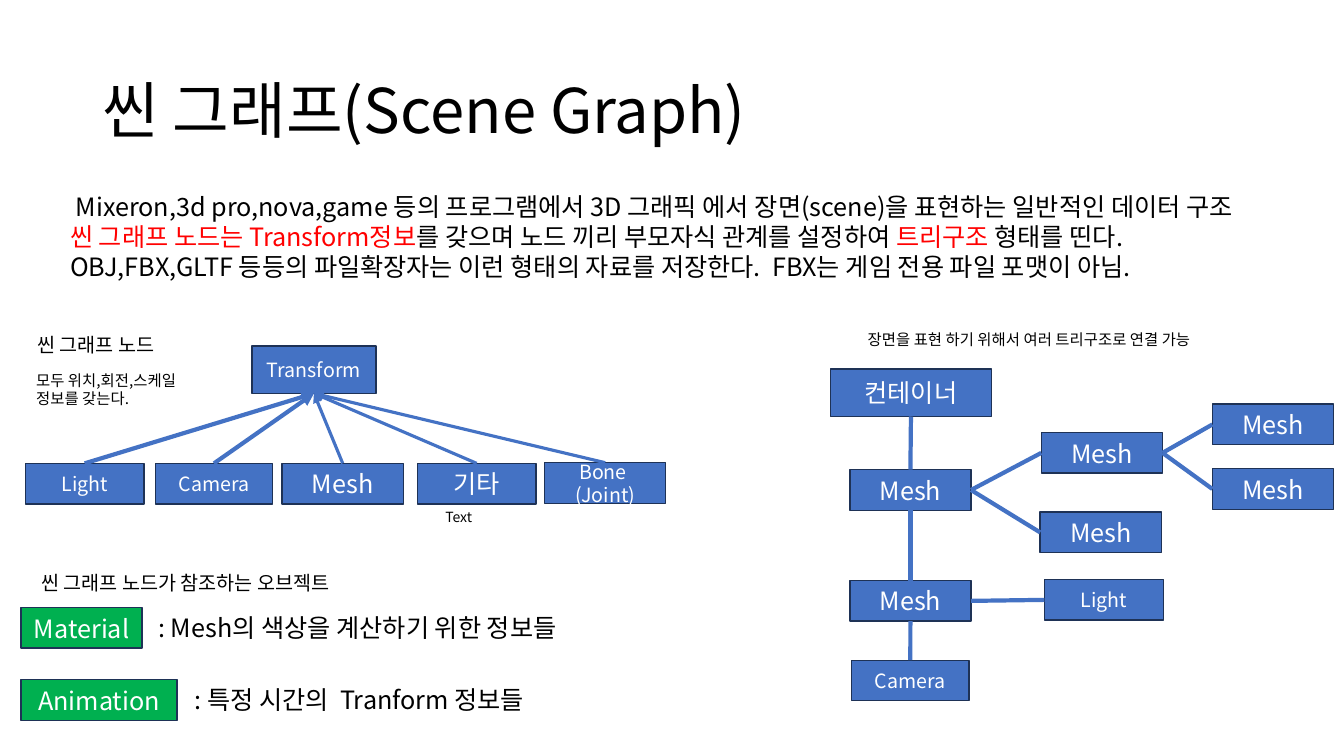
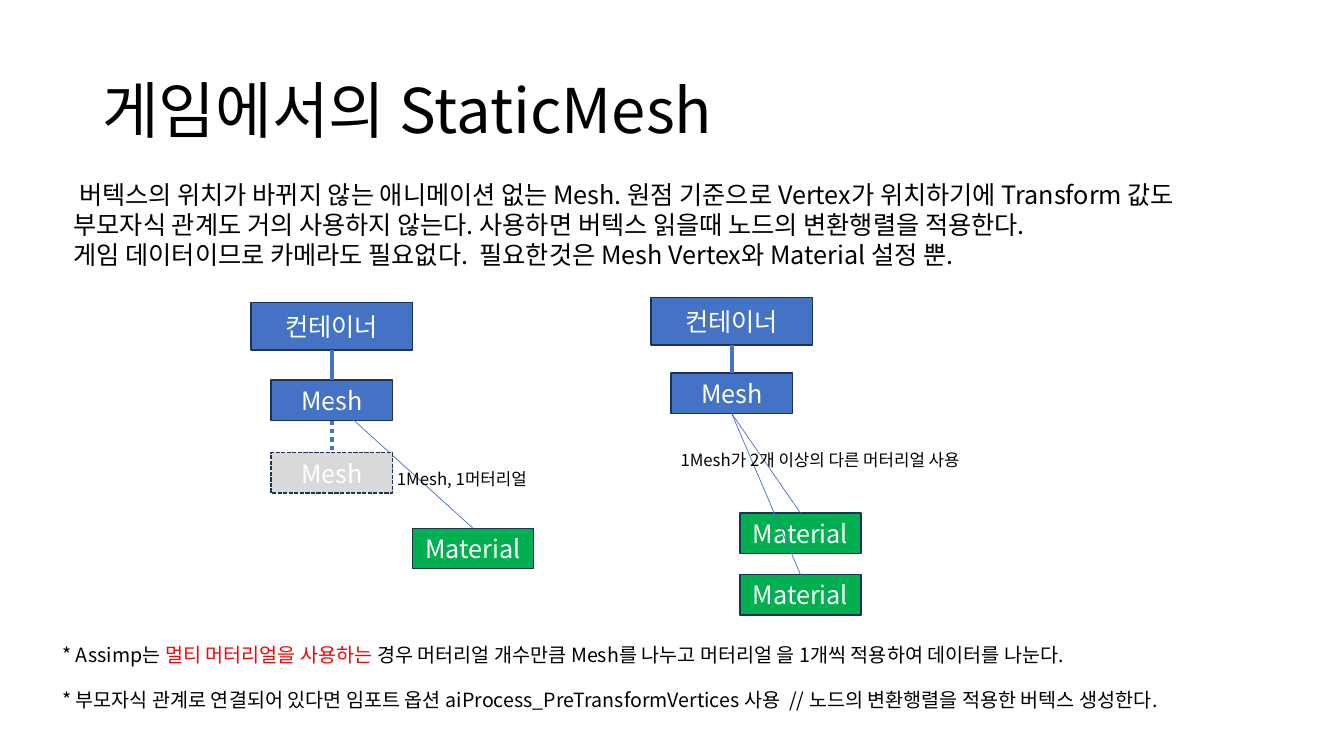
from lxml import etree
from pptx import Presentation
from pptx.dml.color import RGBColor
from pptx.enum.dml import MSO_LINE
from pptx.enum.shapes import MSO_CONNECTOR, MSO_SHAPE
from pptx.enum.text import MSO_ANCHOR, MSO_AUTO_SIZE, PP_ALIGN
from pptx.oxml.ns import qn
from pptx.util import Pt

RECTANGLE, STRAIGHT = MSO_SHAPE.RECTANGLE, MSO_CONNECTOR.STRAIGHT
MIDDLE, CENTER, LEFT_ALIGN = MSO_ANCHOR.MIDDLE, PP_ALIGN.CENTER, PP_ALIGN.LEFT
GROW, FIXED = MSO_AUTO_SIZE.SHAPE_TO_FIT_TEXT, MSO_AUTO_SIZE.NONE
SHORT_DASH, DOTS = MSO_LINE.SQUARE_DOT, MSO_LINE.ROUND_DOT
DASH_NODE = SHORT_DASH
TOP, LEFT, BOTTOM, RIGHT = range(4)

# Shared look
FONT = "Noto Sans CJK KR"
BLACK, WHITE, RED = "000000", "FFFFFF", "FF0000"
BLUE, GREEN, GREY, OUTLINE = "4472C4", "00B050", "D9D9D9", "1E3256"
THICK, MEDIUM, THIN = 3, 2.25, 0.5

# Node kinds: width, height, text size, fill
NODES = {
    "Transform": (88.5, 34, 14, BLUE),
    "컨테이너": (115.4, 34, 18, BLUE),
    "Mesh": (86.6, 29, 18, BLUE),
    "Light": (85, 29, 14, BLUE),
    "Camera": (83.7, 29, 14, BLUE),
    "기타": (85, 29, 18, BLUE),
    "Bone \n(Joint)": (86.6, 29, 14, BLUE),
    "Material": (86.6, 29, 18, GREEN),
    "Animation": (111.6, 29, 18, GREEN),
}


def colour(value):
    return RGBColor.from_string(value)


def apply(target, values):
    for name, value in values.items():
        setattr(target, name, value)


def write(shape, paragraphs, size, ink, align=LEFT_ALIGN, spacing=None, **frame_format):
    """Fill a shape; a paragraph is a string or a list of (text, colour)."""
    frame = shape.text_frame
    apply(frame, frame_format)
    for index, spans in enumerate(paragraphs):
        para = frame.paragraphs[0] if index == 0 else frame.add_paragraph()
        apply(para, {"alignment": align, "line_spacing": spacing})
        for text, span_ink in [(spans, ink)] if isinstance(spans, str) else spans:
            span = para.add_run()
            span.text = text
            apply(span.font, {"size": Pt(size), "name": FONT})
            span.font.color.rgb = colour(span_ink)
            etree.SubElement(span.font._element, qn("a:ea"), typeface=FONT)


def add_label(slide, paragraphs, left, top, width, height, size, wrap=True):
    box = slide.shapes.add_textbox(Pt(left), Pt(top), Pt(width), Pt(height))
    write(box, paragraphs, size, BLACK, word_wrap=wrap, auto_size=GROW)


def add_title(slide, text):
    box = slide.shapes.add_textbox(Pt(66), Pt(28.75), Pt(828), Pt(104.4))
    write(box, [text], 44, BLACK, spacing=0.9, word_wrap=True,
          auto_size=FIXED, vertical_anchor=MIDDLE)


def add_node(slide, label, left, top, fill=None, dash=None):
    width, height, size, kind_fill = NODES[label]
    node = slide.shapes.add_shape(RECTANGLE, Pt(left), Pt(top), Pt(width), Pt(height))
    node.shadow.inherit = False
    node.fill.solid()
    node.fill.fore_color.rgb = colour(fill or kind_fill)
    node.line.color.rgb = colour(OUTLINE)
    apply(node.line, {"width": Pt(1), "dash_style": dash})
    write(node, label.split("\n"), size, WHITE, CENTER,
          word_wrap=True, vertical_anchor=MIDDLE)
    return node


def add_link(slide, start, start_side, end, end_side, width=THICK, arrow=False, dash=None):
    """Join two nodes; with no start side the link leaves the node's centre."""
    link = slide.shapes.add_connector(
        STRAIGHT, start.left + start.width // 2, start.top + start.height // 2,
        end.left, end.top)
    if start_side is not None:
        link.begin_connect(start, start_side)
    link.end_connect(end, end_side)
    link.line.color.rgb = colour(BLUE)
    apply(link.line, {"width": Pt(width), "dash_style": dash})
    if arrow:
        etree.SubElement(link.line._get_or_add_ln(), qn("a:tailEnd"), type="triangle")
    etree.SubElement(link._element.spPr, qn("a:effectLst"))


def add_slide(deck, title):
    slide = deck.slides.add_slide(deck.slide_layouts[6])
    add_title(slide, title)
    return slide


def build_scene_graph(deck):
    slide = add_slide(deck, "씬 그래프(Scene Graph)")
    add_label(slide, [
        " Mixeron,3d pro,nova,game 등의 프로그램에서 3D 그래픽 에서 장면(scene)을 표현하는 일반적인 데이터 구조",
        [("씬 그래프 노드는 Transform정보", RED),
         ("를 갖으며 노드 끼리 부모자식 관계를 설정하여 ", BLACK),
         ("트리구조", RED), (" 형태를 띤다.", BLACK)],
        "OBJ,FBX,GLTF 등등의 파일확장자는 이런 형태의 자료를 저장한다.  FBX는 게임 전용 파일 포맷이 아님.",
    ], 43, 133, 917, 72.7, 18, wrap=False)

    # Node types that share Transform
    transform = add_node(slide, "Transform", 180, 247)
    for label, left, top, width in [
        ("Light", 18, 331, THICK), ("Camera", 111, 331, THICK),
        ("Mesh", 201.5, 331, MEDIUM), ("기타", 298, 331, MEDIUM),
        ("Bone \n(Joint)", 389, 330.5, MEDIUM),
    ]:
        child = add_node(slide, label, left, top)
        add_link(slide, child, TOP, transform, BOTTOM, width, arrow=True)
    add_label(slide, ["씬 그래프 노드"], 19.5, 234, 109.5, 24.5, 14, wrap=False)
    add_label(slide, ["모두 위치,회전,스케일 정보를 갖는다."], 18.7, 261.4, 135.4, 34, 11)
    add_label(slide, ["Text"], 311, 360, 34, 19.4, 10, wrap=False)

    # Referenced objects
    add_label(slide, ["씬 그래프 노드가 참조하는 오브젝트"], 22.3, 404.6, 246, 24.5, 14, wrap=False)
    for label, note, top, left, width in [
        ("Material", ": Mesh의 색상을 계산하기 위한 정보들", 434, 106, 448),
        ("Animation", ": 특정 시간의  Tranform 정보들", 485.5, 132, 407),
    ]:
        add_node(slide, label, 15, top)
        add_label(slide, [note], left, top, width, 29, 18)

    # Example scene tree
    add_label(slide, ["장면을 표현 하기 위해서 여러 트리구조로 연결 가능"], 612.7, 232.5, 279, 20.6, 11)
    container = add_node(slide, "컨테이너", 593, 263.5)
    upper = add_node(slide, "Mesh", 607, 335.5)
    lower = add_node(slide, "Mesh", 607, 414.7)
    camera = add_node(slide, "Camera", 608.4, 471.6)
    branch = add_node(slide, "Mesh", 743.8, 309)
    for start, end in [(container, upper), (upper, lower), (lower, camera)]:
        add_link(slide, start, BOTTOM, end, TOP)
    add_link(slide, upper, RIGHT, branch, LEFT)
    for parent, label, left, top in [
        (upper, "Mesh", 743, 365.8), (branch, "Mesh", 866, 288.7),
        (branch, "Mesh", 866, 334.8), (lower, "Light", 746, 414),
    ]:
        add_link(slide, parent, RIGHT, add_node(slide, label, left, top), LEFT)


def add_container_with_mesh(slide, left, top, mesh_top):
    container = add_node(slide, "컨테이너", left, top)
    mesh = add_node(slide, "Mesh", left + 14.4, mesh_top)
    add_link(slide, container, BOTTOM, mesh, TOP)
    return mesh


def build_static_mesh(deck):
    slide = add_slide(deck, "게임에서의 StaticMesh")
    add_label(slide, [
        " 버텍스의 위치가 바뀌지 않는 애니메이션 없는 Mesh. 원점 기준으로 Vertex가 위치하기에 Transform 값도 "
        "부모자식 관계도 거의 사용하지 않는다. 사용하면 버텍스 읽을때 노드의 변환행렬을 적용한다.",
        "게임 데이터이므로 카메라도 필요없다.  필요한것은 Mesh Vertex와 Material 설정 뿐.",
    ], 45.4, 124.5, 839, 72.7, 18)

    # One mesh with several materials
    mesh = add_container_with_mesh(slide, 465, 212.4, 266.4)
    materials = [add_node(slide, "Material", 528.5, top) for top in (366.5, 410.4)]
    for material in materials:
        add_link(slide, mesh, BOTTOM, material, TOP, THIN)
    add_label(slide, ["1Mesh가 2개 이상의 다른 머터리얼 사용"], 479, 317.5, 237, 21.8, 12, wrap=False)

    # One mesh with one material
    mesh = add_container_with_mesh(slide, 179.3, 216, 271.4)
    material = add_node(slide, "Material", 294.5, 377.3)
    add_link(slide, mesh, None, material, TOP, THIN)
    add_label(slide, ["1Mesh, 1머터리얼"], 276.5, 331, 113, 21.8, 12, wrap=False)
    optional = add_node(slide, "Mesh", 193.7, 323.3, GREY, DASH_NODE)
    add_link(slide, mesh, BOTTOM, optional, TOP, dash=DOTS)

    # Notes on importing
    add_label(slide, [[
        ("* Assimp는 ", BLACK), ("멀티 머터리얼을 사용하는", RED),
        (" 경우 머터리얼 개수만큼 Mesh를 나누고 머터리얼 을 1개씩 적용하여 데이터를 나눈다.", BLACK),
    ]], 37.4, 455.8, 904, 24.2, 14)
    add_label(slide, [
        "* 부모자식 관계로 연결되어 있다면 임포트 옵션 aiProcess_PreTransformVertices 사용"
        "  // 노드의 변환행렬을 적용한 버텍스 생성한다.",
    ], 37.4, 488, 928, 24.2, 14)


def main():
    deck = Presentation()
    apply(deck, {"slide_width": Pt(960), "slide_height": Pt(540)})
    build_scene_graph(deck)
    build_static_mesh(deck)
    deck.save("out.pptx")


if __name__ == "__main__":
    main()
